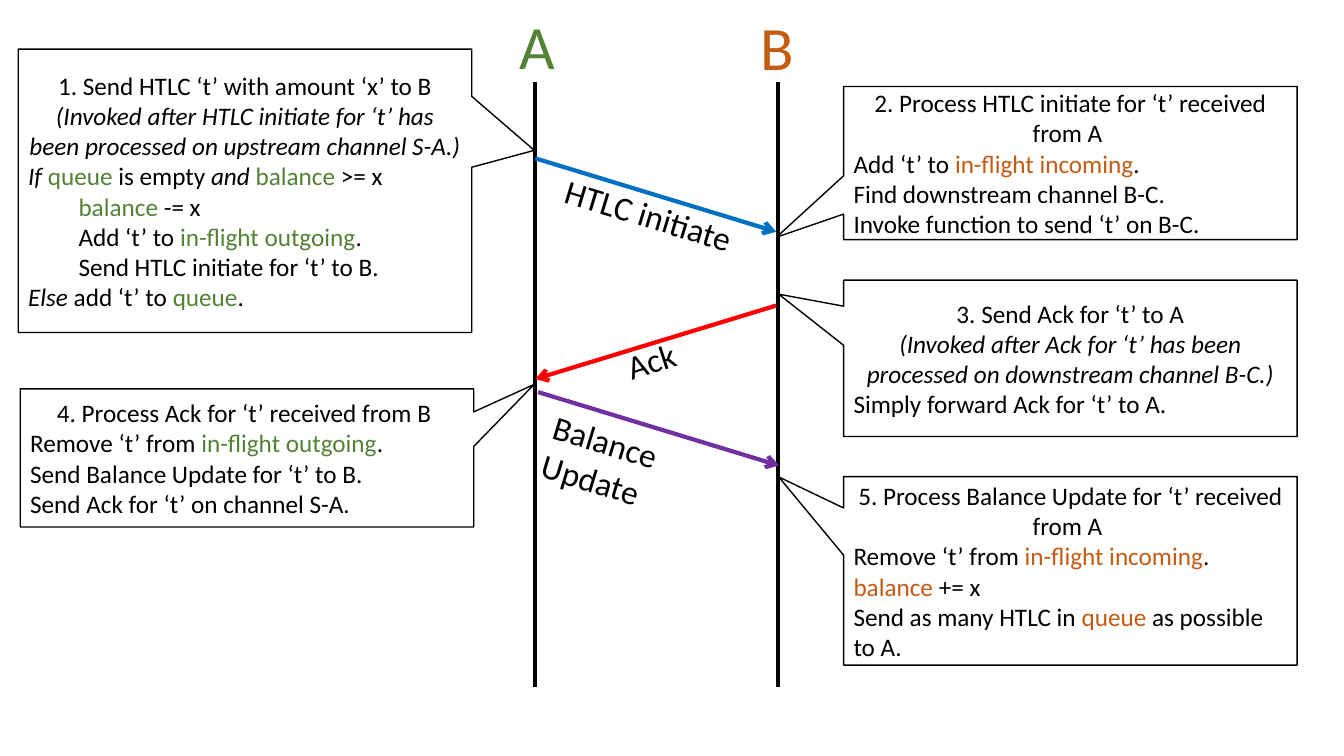
from pptx import Presentation
from pptx.dml.color import RGBColor
from pptx.enum.shapes import MSO_CONNECTOR, MSO_SHAPE
from pptx.enum.text import MSO_ANCHOR, PP_ALIGN
from pptx.oxml.ns import qn
from pptx.util import Cm, Pt
from lxml import etree

STRAIGHT = MSO_CONNECTOR.STRAIGHT
CALLOUT = MSO_SHAPE.RECTANGULAR_CALLOUT
LEFT, CENTER = PP_ALIGN.LEFT, PP_ALIGN.CENTER
MIDDLE = MSO_ANCHOR.MIDDLE

FONT = "Calibri"
BLACK = RGBColor(0x00, 0x00, 0x00)
WHITE = RGBColor(0xFF, 0xFF, 0xFF)
GREEN = RGBColor(0x54, 0x82, 0x35)
ORANGE = RGBColor(0xC5, 0x5A, 0x11)
BLUE = RGBColor(0x00, 0x70, 0xC0)
RED = RGBColor(0xFF, 0x00, 0x00)
PURPLE = RGBColor(0x70, 0x30, 0xA0)

# Layout in centimetres
LIFELINE_A, LIFELINE_B = 13.49, 19.61
LIFELINE_TOP, LIFELINE_BOTTOM = 2.06, 17.3
MESSAGE_END = 19.56
MESSAGE_DROP = 1.85
CALLOUT_WIDTH = 11.43
RIGHT_CALLOUTS = 21.26
INDENT = 1.27

# A paragraph is (kind, runs); a run is a string or (string, colour or ITALIC)
TITLE, BODY, INDENTED = "title", "body", "indented"
ITALIC = "italic"

# left, top, height, pointer adjustments, paragraphs
CALLOUTS = [
    (0.46, 1.24, 7.14, (0.638, -0.143), [
        (TITLE, ["1. Send HTLC ‘t’ with amount ‘x’ to B"]),
        (TITLE, [("(Invoked after HTLC initiate for ‘t’ has been processed "
                  "on upstream channel S-A.)", ITALIC)]),
        (BODY, [("If ", ITALIC), ("queue", GREEN), " is empty ",
                ("and ", ITALIC), ("balance", GREEN), " >= x "]),
        (INDENTED, [("balance", GREEN), " -= x"]),
        (INDENTED, ["Add ‘t’ to ", ("in-flight outgoing", GREEN), "."]),
        (INDENTED, ["Send HTLC initiate for ‘t’ to B. "]),
        (BODY, [("Else", ITALIC), " add ‘t’ to ", ("queue", GREEN), "."]),
    ]),
    (RIGHT_CALLOUTS, 7.06, 3.94, (-0.643, -0.41), [
        (TITLE, ["3. Send Ack for ‘t’ to A"]),
        (TITLE, [("(Invoked after Ack for ‘t’ has been processed "
                  "on downstream channel B-C.)", ITALIC)]),
        (BODY, ["Simply forward Ack for ‘t’ to A."]),
    ]),
    (RIGHT_CALLOUTS, 2.18, 3.86, (-0.648, 0.484), [
        (TITLE, ["2. Process HTLC initiate for ‘t’ received from A "]),
        (BODY, ["Add ‘t’ to ", ("in-flight incoming", ORANGE), "."]),
        (BODY, ["Find downstream channel B-C."]),
        (BODY, ["Invoke function to send ‘t’ on B-C."]),
    ]),
    (0.51, 9.8, 3.48, (0.633, -0.532), [
        (TITLE, ["4. Process Ack for ‘t’ received from B "]),
        (BODY, ["Remove ‘t’ from ", ("in-flight outgoing", GREEN), "."]),
        (BODY, ["Send Balance Update for ‘t’ to B."]),
        (BODY, ["Send Ack for ‘t’ on channel S-A."]),
    ]),
    (RIGHT_CALLOUTS, 12.01, 4.75, (-0.643, -0.498), [
        (TITLE, ["5. Process Balance Update for ‘t’ received from A "]),
        (BODY, ["Remove ‘t’ from ", ("in-flight incoming", ORANGE), "."]),
        (BODY, [("balance", ORANGE), " += x"]),
        (BODY, ["Send as many HTLC in ", ("queue ", ORANGE),
                "as possible to A. "]),
    ]),
]


def add_line(slide, start, end, color, arrow=False):
    connector = slide.shapes.add_connector(STRAIGHT, *map(Cm, start + end))
    connector.line.color.rgb = color
    connector.line.width = Pt(3)
    if arrow:
        line = connector.line._get_or_add_ln()
        etree.SubElement(line, qn("a:tailEnd"), type="arrow")
    etree.SubElement(connector._element.spPr, qn("a:effectLst"))


def set_font(paragraph, size, color):
    paragraph.font.name = FONT
    paragraph.font.size = Pt(size)
    paragraph.font.color.rgb = color


def add_label(slide, text, box, size, color=BLACK, rotation=0, wrap=False):
    label = slide.shapes.add_textbox(*map(Cm, box))
    label.rotation = rotation
    label.text_frame.word_wrap = wrap
    paragraph = label.text_frame.paragraphs[0]
    paragraph.text = text
    set_font(paragraph, size, color)
    return label


def fill_paragraph(paragraph, kind, runs):
    paragraph.alignment = CENTER if kind == TITLE else LEFT
    set_font(paragraph, 18, BLACK)
    if kind == INDENTED:
        paragraph.level = 1
        paragraph._p.get_or_add_pPr().set("marL", str(Cm(INDENT)))
    for item in runs:
        text, style = (item, None) if isinstance(item, str) else item
        run = paragraph.add_run()
        run.text = text
        if style == ITALIC:
            run.font.italic = True
        elif style is not None:
            run.font.color.rgb = style


def add_callout(slide, left, top, height, pointer, paragraphs):
    shape = slide.shapes.add_shape(
        CALLOUT, Cm(left), Cm(top), Cm(CALLOUT_WIDTH), Cm(height))
    shape.shadow.inherit = False
    shape.adjustments[0], shape.adjustments[1] = pointer
    shape.fill.solid()
    shape.fill.fore_color.rgb = WHITE
    shape.line.color.rgb = BLACK
    shape.line.width = Pt(1)
    frame = shape.text_frame
    frame.word_wrap = True
    frame.vertical_anchor = MIDDLE
    for index, (kind, runs) in enumerate(paragraphs):
        paragraph = frame.add_paragraph() if index else frame.paragraphs[0]
        fill_paragraph(paragraph, kind, runs)


def main():
    presentation = Presentation()
    presentation.slide_width, presentation.slide_height = Cm(33.87), Cm(19.05)
    slide = presentation.slides.add_slide(presentation.slide_layouts[6])

    # Lifelines of the two parties
    for x in (LIFELINE_A, LIFELINE_B):
        add_line(slide, (x, LIFELINE_TOP), (x, LIFELINE_BOTTOM), BLACK)

    # Messages between them
    for start, end, top, color in (
            (LIFELINE_A, MESSAGE_END, 3.99, BLUE),
            (MESSAGE_END, LIFELINE_A, 7.7, RED),
            (13.56, 19.63, 9.88, PURPLE)):
        add_line(slide, (start, top), (end, top + MESSAGE_DROP), color, True)

    # Message names, turned along their arrows
    add_label(slide, "HTLC initiate", (13.92, 4.83, 5.26, 1.28), 24,
              rotation=16.9)
    add_label(slide, "Ack", (15.54, 8.43, 1.85, 1.28), 24, rotation=341.8)
    update = add_label(slide, "Balance Update", (13.61, 10.87, 5.89, 1.28), 24,
                       rotation=16.9, wrap=True)
    update.text_frame.margin_right = Cm(2)  # breaks the name into two lines

    # Party names
    add_label(slide, "A", (12.85, 0.08, 2.01, 2.13), 44, GREEN, wrap=True)
    add_label(slide, "B", (18.92, 0.1, 2.01, 2.13), 44, ORANGE, wrap=True)

    # Steps
    for callout in CALLOUTS:
        add_callout(slide, *callout)

    presentation.save("out.pptx")


main()
